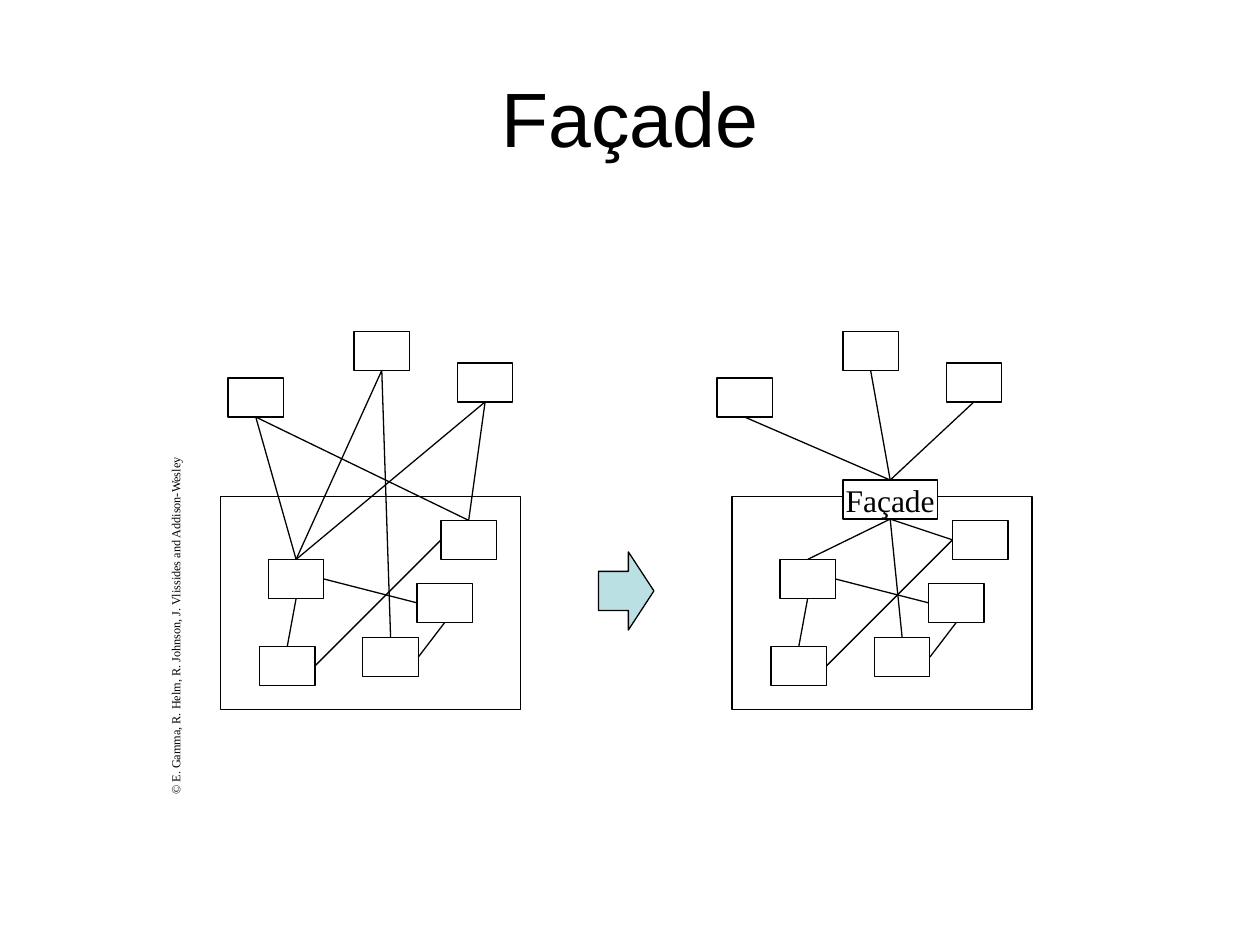
"""Builds the Façade pattern slide: clients and subsystem before and after."""
import typing

import pptx
import pptx.dml.color
import pptx.enum.shapes
import pptx.enum.text
import pptx.oxml.ns
import pptx.util
from lxml import etree

Inches = pptx.util.Inches
Pt = pptx.util.Pt
Kind = pptx.enum.shapes.MSO_SHAPE
Align = pptx.enum.text.PP_ALIGN
Anchor = pptx.enum.text.MSO_ANCHOR

COLOURS = {"ink": "000000", "paper": "FFFFFF", "arrow": "BBE0E3"}
TOP, LEFT, BOTTOM, RIGHT = range(4)
SUBSYSTEM_SHIFT = 4.06
CLIENT_SHIFT = 3.88


class Box(typing.NamedTuple):
    left: float
    top: float
    width: float = 0.44
    height: float = 0.31

    def shifted(self, distance: float) -> "Box":
        return self._replace(left=self.left + distance)

    def lengths(self) -> list:
        return [Inches(value) for value in self]


class Link(typing.NamedTuple):
    start: str
    start_side: int
    end: str
    end_side: int


FRAME = Box(1.75, 3.94, 2.38, 1.69)
FACADE = Box(6.69, 3.81, 0.75)
CLIENTS = {
    "client a": Box(1.81, 3),
    "client b": Box(2.81, 2.63),
    "client c": Box(3.63, 2.88),
}
PARTS = {
    "lower left": Box(2.06, 5.13),
    "lower middle": Box(2.88, 5.06),
    "upper left": Box(2.13, 4.44),
    "middle right": Box(3.31, 4.63),
    "upper right": Box(3.5, 4.13),
}
INNER_LINKS = [
    Link("lower left", TOP, "upper left", BOTTOM),
    Link("lower left", RIGHT, "upper right", LEFT),
    Link("lower middle", RIGHT, "middle right", BOTTOM),
    Link("middle right", LEFT, "upper left", RIGHT),
]
DIRECT_LINKS = [
    Link(client, BOTTOM, part, TOP)
    for client, part in [
        ("client a", "upper left"),
        ("client a", "upper right"),
        ("client c", "upper right"),
        ("client c", "upper left"),
        ("client b", "upper left"),
        ("client b", "lower middle"),
    ]
]
FACADE_LINKS = [
    Link("upper left", TOP, "facade", BOTTOM),
    Link("lower middle", TOP, "facade", BOTTOM),
    Link("upper right", LEFT, "facade", BOTTOM),
] + [Link("facade", TOP, client, BOTTOM) for client in CLIENTS]


def colour(name: str) -> pptx.dml.color.RGBColor:
    """Look up a colour by its role."""
    return pptx.dml.color.RGBColor.from_string(COLOURS[name])


def apply(target, values: dict) -> None:
    """Set each named attribute on the target."""
    for name, value in values.items():
        setattr(target, name, value)


def outline(line) -> None:
    """Give a line the thin dark stroke."""
    line.color.rgb = colour("ink")
    line.width = Pt(0.75)


def write(shape, words: str, font: str, size: float, align, anchor, wrap: bool = False) -> None:
    """Put one formatted paragraph in a shape."""
    frame = shape.text_frame
    apply(frame, {"text": words, "word_wrap": wrap, "vertical_anchor": anchor})
    paragraph = frame.paragraphs[0]
    paragraph.alignment = align
    apply(paragraph.font, {"name": font, "size": Pt(size)})
    paragraph.font.color.rgb = colour("ink")


def draw_box(slide, box: Box, kind=Kind.RECTANGLE, fill: str = "paper"):
    """Draw one outlined, filled shape."""
    shape = slide.shapes.add_shape(kind, *box.lengths())
    shape.shadow.inherit = False
    shape.fill.solid()
    shape.fill.fore_color.rgb = colour(fill)
    outline(shape.line)
    return shape


def draw_link(slide, link: Link, nodes: dict) -> None:
    """Glue a straight line between the sides of two nodes."""
    line = slide.shapes.add_connector(pptx.enum.shapes.MSO_CONNECTOR.STRAIGHT, 0, 0, 0, 0)
    line.begin_connect(nodes[link.start], link.start_side)
    line.end_connect(nodes[link.end], link.end_side)
    outline(line.line)
    etree.SubElement(line._element.spPr, pptx.oxml.ns.qn("a:effectLst"))


def draw_system(slide, subsystem_shift: float, client_shift: float) -> dict:
    """Draw a framed subsystem and its clients, and return the nodes by name."""
    draw_box(slide, FRAME.shifted(subsystem_shift))
    nodes = {}
    for group, shift in [(PARTS, subsystem_shift), (CLIENTS, client_shift)]:
        for name, box in group.items():
            nodes[name] = draw_box(slide, box.shifted(shift))
    for link in INNER_LINKS:
        draw_link(slide, link, nodes)
    return nodes


def main() -> None:
    """Build and save the slide."""
    deck = pptx.Presentation()
    apply(deck, {"slide_width": Inches(10), "slide_height": Inches(7.5)})
    slide = deck.slides.add_slide(deck.slide_layouts[6])

    title = slide.shapes.add_textbox(*Box(0.5, 0.3, 9, 1.25).lengths())
    write(title, "Façade", "Arial", 44, Align.CENTER, Anchor.MIDDLE, wrap=True)

    before = draw_system(slide, 0, 0)
    for link in DIRECT_LINKS:
        draw_link(slide, link, before)

    after = draw_system(slide, SUBSYSTEM_SHIFT, CLIENT_SHIFT)
    after["facade"] = draw_box(slide, FACADE)
    write(after["facade"], "Façade", "Times New Roman", 18, Align.CENTER, Anchor.MIDDLE)
    for link in FACADE_LINKS:
        draw_link(slide, link, after)

    arrow = draw_box(slide, Box(4.75, 4.38, 0.44, 0.62), Kind.RIGHT_ARROW, "arrow")
    arrow.adjustments[1] = 0.46

    credit = slide.shapes.add_textbox(*Box(-0.05, 4.85, 2.89, 0.22).lengths())
    credit.rotation = 270
    write(
        credit,
        "© E. Gamma, R. Helm, R. Johnson, J. Vlissides and Addison-Wesley",
        "Times New Roman",
        7,
        Align.LEFT,
        Anchor.TOP,
    )
    deck.save("out.pptx")


if __name__ == "__main__":
    main()
